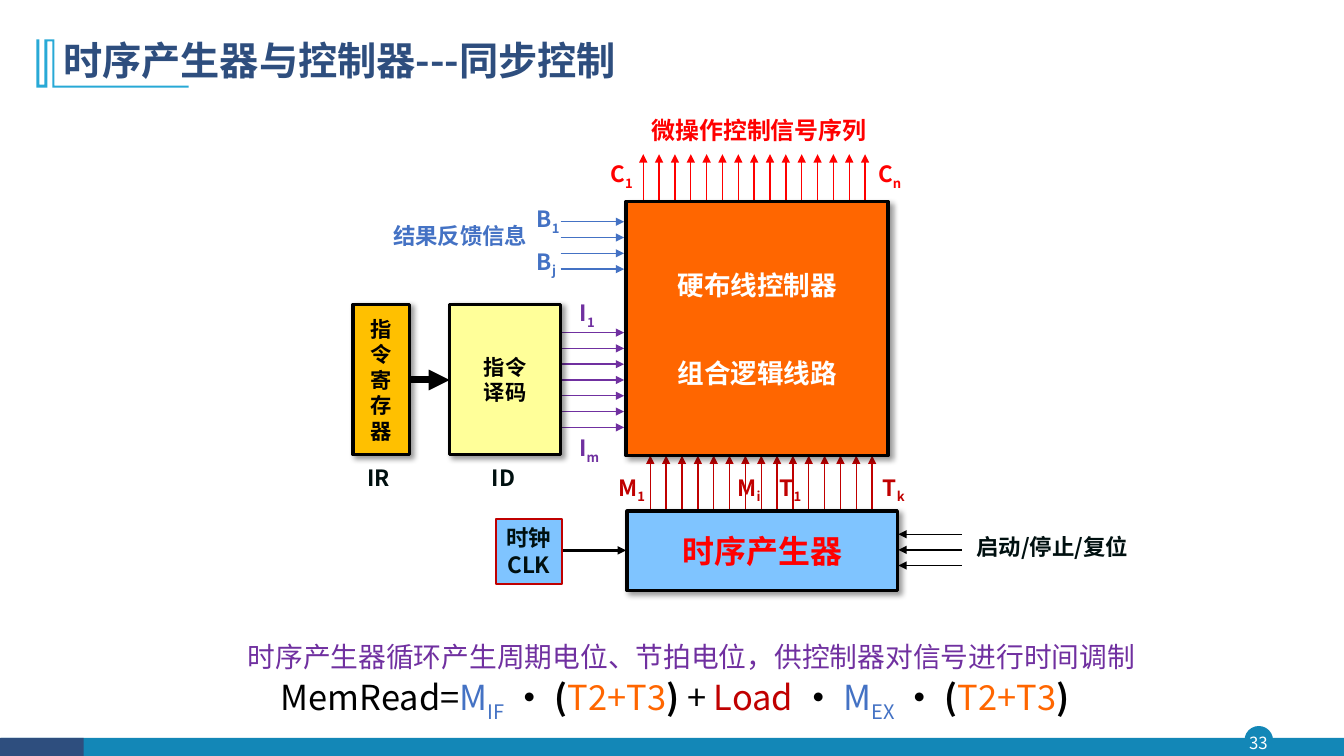
from dataclasses import dataclass

from lxml.etree import SubElement
from pptx import Presentation
from pptx.dml.color import RGBColor
from pptx.enum.shapes import MSO_CONNECTOR as Connector, MSO_SHAPE as Preset
from pptx.enum.text import MSO_ANCHOR as Anchor, PP_ALIGN as Align
from pptx.oxml.ns import qn
from pptx.util import Inches, Pt

FONT = "Noto Sans CJK SC"
COLORS = {
    "teal": "1387B7", "navy": "2E4E7E", "cyan": "28A9D6", "white": "FFFFFF",
    "black": "000000", "ink": "001010", "red": "FF0000", "crimson": "C00000",
    "blue": "4472C4", "purple": "7030A0", "orange": "FF6600", "amber": "FFC000",
    "yellow": "FFFF99", "sky": "7FC4FF",
}


@dataclass
class Piece:
    text: str
    color: str | None = None
    bold: bool | None = None
    lowered: bool = False


@dataclass
class Label:
    area: tuple[float, float, float, float]
    lines: list[list[Piece]]
    color: str = "ink"
    size: float = 16
    bold: bool = True
    wrap: bool = False
    anchor: Anchor = Anchor.TOP
    align: Align = Align.CENTER
    font: str = FONT
    gap: float = 0
    spacing: float | None = None
    inset: bool = True


@dataclass
class Box:
    label: Label
    fill: str
    line: str | None = "black"
    width: float = 2.5
    shadow: bool = True
    preset: Preset = Preset.RECTANGLE


@dataclass
class Arrows:
    start: tuple[float, float]
    end: tuple[float, float]
    color: str
    count: int = 1
    span: tuple[float, float] = (0, 0)
    width: float = 1


def rgb(name: str) -> RGBColor:
    return RGBColor.from_string(COLORS[name])


def plain(*texts: str) -> list[list[Piece]]:
    return [[Piece(text)] for text in texts]


def symbol(x: float, y: float, width: float, letter: str, index: str, color: str) -> Label:
    return Label((x, y, width, 0.37), [[Piece(letter), Piece(index, lowered=True)]], color)


def write(shape, label: Label) -> None:
    frame = shape.text_frame
    frame.word_wrap = label.wrap
    frame.vertical_anchor = label.anchor
    if not label.inset:
        frame.margin_left = frame.margin_right = frame.margin_top = frame.margin_bottom = 0
    for number, pieces in enumerate(label.lines):
        paragraph = frame.add_paragraph() if number else frame.paragraphs[0]
        paragraph.alignment = label.align
        if label.spacing:
            paragraph.line_spacing = label.spacing
        if number and label.gap:
            paragraph.space_before = Pt(label.gap)
        font = paragraph.font
        font.size, font.bold, font.name = Pt(label.size), label.bold, label.font
        font.color.rgb = rgb(label.color)
        defaults = paragraph._p.pPr.find(qn("a:defRPr"))
        SubElement(defaults, qn("a:ea")).set("typeface", FONT)
        for piece in pieces:
            run = paragraph.add_run()
            run.text = piece.text
            if piece.color:
                run.font.color.rgb = rgb(piece.color)
            if piece.bold is not None:
                run.font.bold = piece.bold
            if piece.lowered:
                run._r.get_or_add_rPr().set("baseline", "-25000")


def add_label(slide, label: Label) -> None:
    write(slide.shapes.add_textbox(*map(Inches, label.area)), label)


def add_box(slide, box: Box) -> None:
    shape = slide.shapes.add_shape(box.preset, *map(Inches, box.label.area))
    shape.shadow.inherit = False
    shape.fill.solid()
    shape.fill.fore_color.rgb = rgb(box.fill)
    if box.line:
        shape.line.color.rgb = rgb(box.line)
        shape.line.width = Pt(box.width)
    else:
        shape.line.fill.background()
    if box.shadow:
        effects = shape._element.spPr.find(qn("a:effectLst"))
        outer = SubElement(effects, qn("a:outerShdw"), blurRad=str(Pt(4)), dist=str(Pt(3)),
                           dir="2700000", algn="tl", rotWithShape="0")
        color = SubElement(outer, qn("a:srgbClr"), val=COLORS["black"])
        SubElement(color, qn("a:alpha"), val="40000")
    if box.label.lines:
        write(shape, box.label)


def add_arrows(slide, arrows: Arrows) -> None:
    for number in range(arrows.count):
        share = number / max(arrows.count - 1, 1)
        dx, dy = (share * length for length in arrows.span)
        ends = [Inches(value + shift) for point in (arrows.start, arrows.end)
                for value, shift in zip(point, (dx, dy))]
        connector = slide.shapes.add_connector(Connector.STRAIGHT, *ends)
        connector.line.color.rgb = rgb(arrows.color)
        connector.line.width = Pt(arrows.width)
        SubElement(connector.line._get_or_add_ln(), qn("a:tailEnd"), type="triangle")
        SubElement(connector._element.spPr, qn("a:effectLst"))


def add_title_mark(slide) -> None:
    points = [(0.54, 0.39), (0.54, 0.85), (1.87, 0.85), (1.87, 0.87), (0.52, 0.87),
              (0.52, 0.41), (0.47, 0.41), (0.47, 0.87), (0.36, 0.87), (0.36, 0.39),
              (0.39, 0.39), (0.39, 0.84), (0.44, 0.84), (0.44, 0.39)]
    corners = [(Inches(x), Inches(y)) for x, y in points]
    builder = slide.shapes.build_freeform(*corners[0])
    builder.add_line_segments(corners[1:], close=True)
    mark = builder.convert_to_shape()
    mark.shadow.inherit = False
    mark.fill.solid()
    mark.fill.fore_color.rgb = rgb("cyan")
    mark.line.fill.background()


def block(area: tuple[float, float, float, float], lines: list[list[Piece]], fill: str,
          color: str = "black", size: float = 15.2, gap: float = 0) -> Box:
    return Box(Label(area, lines, color, size, wrap=True, anchor=Anchor.MIDDLE,
                     font="Roboto", gap=gap), fill)


FORMULA = [
    Piece("MemRead="), Piece("M", "blue"), Piece("IF", "blue", lowered=True),
    Piece(" · (", bold=True), Piece("T2+T3", "orange"), Piece(") ", bold=True), Piece("+ "),
    Piece("Load ", "crimson"), Piece("· ", bold=True), Piece("M", "blue"),
    Piece("EX", "blue", lowered=True), Piece(" · (", bold=True),
    Piece("T2+T3", "orange"), Piece(")", bold=True),
]
FOOTER = [
    Box(Label((12.35, 7.21, 0.27, 0.27), []), "teal", "teal", 1, False, Preset.OVAL),
    Box(Label((0.01, 7.32, 13.32, 0.19), []), "teal", None, shadow=False),
    Box(Label((0, 7.32, 0.83, 0.19), []), "navy", None, shadow=False),
]
ARROWS = [
    Arrows((6.38, 2), (6.38, 1.53), "red", 15, (2.2, 0)),
    Arrows((6.45, 5.07), (6.45, 4.52), "crimson", 15, (2.2, 0)),
    Arrows((5.56, 3.3), (6.19, 3.3), "purple", 7, (0, 0.94)),
    Arrows((9.54, 5.3), (8.91, 5.3), "black", 3, (0, 0.31)),
    Arrows((5.56, 2.2), (6.19, 2.2), "blue", 4, (0, 0.47)),
    Arrows((4.06, 3.77), (4.46, 3.77), "black", width=5),
    Arrows((5.56, 5.46), (6.21, 5.46), "black", width=2),
]
LABELS = [
    Label((12.32, 7.21, 0.32, 0.31), plain("33"), "white", 12, False, True,
          Anchor.MIDDLE, inset=False),
    Label((0.53, 0.28, 11.5, 0.68), plain("时序产生器与控制器---同步控制"), "navy", 28,
          wrap=True, anchor=Anchor.MIDDLE, align=Align.LEFT, spacing=0.9),
    Label((6.35, 1.1, 2.36, 0.39), plain("微操作控制信号序列"), "red", 17.1),
    Label((3.5, 4.56, 0.51, 0.37), plain("IR"), wrap=True),
    Label((4.74, 4.56, 0.51, 0.37), plain("ID"), wrap=True),
    Label((3.79, 2.15, 1.55, 0.37), plain("结果反馈信息"), "blue"),
    symbol(6, 4.65, 0.53, "M", "1", "crimson"), symbol(7.19, 4.65, 0.48, "M", "i", "crimson"),
    symbol(7.62, 4.65, 0.44, "T", "1", "crimson"), symbol(8.65, 4.65, 0.43, "T", "k", "crimson"),
    symbol(5.64, 2.92, 0.37, "I", "1", "purple"), symbol(5.63, 4.26, 0.43, "I", "m", "purple"),
    symbol(5.94, 1.54, 0.45, "C", "1", "red"), symbol(8.6, 1.54, 0.45, "C", "n", "red"),
    symbol(5.21, 1.99, 0.45, "B", "1", "blue"), symbol(5.22, 2.41, 0.4, "B", "j", "blue"),
    Label((9.34, 5.24, 2.19, 0.37), plain("启动/停止/复位"), wrap=True),
    Label((1.41, 5.98, 10.89, 0.48),
          [[Piece("时序产生器循环产生周期电位、节拍电位，供控制器对信号进行时间调制", lowered=True)]],
          "purple", 34.1, False, True),
    Label((0.8, 6.66, 11.79, 0.52), [FORMULA], "black", 24.6, False, True),
]
BLOCKS = [
    block((3.5, 3.02, 0.56, 1.49), plain("指令寄存器"), "amber"),
    block((6.21, 2, 2.6, 2.52), plain("硬布线控制器", "组合逻辑线路"), "orange", "white", 19, 40),
    Box(Label((4.92, 5.15, 0.65, 0.64), plain("时钟", "CLK")), "sky", "crimson", 1.5, False),
    block((4.46, 3.02, 1.1, 1.49), plain("指令", "译码"), "yellow"),
    block((6.22, 5.07, 2.68, 0.79), plain("时序产生器"), "sky", "red", 22.8),
]


def main() -> None:
    """Build the synchronous control slide and save it."""
    presentation = Presentation()
    presentation.slide_width, presentation.slide_height = Inches(13.33), Inches(7.5)
    slide = presentation.slides.add_slide(presentation.slide_layouts[6])
    add_title_mark(slide)
    for draw, items in ((add_box, FOOTER), (add_arrows, ARROWS), (add_label, LABELS),
                        (add_box, BLOCKS)):
        for item in items:
            draw(slide, item)
    presentation.save("out.pptx")


if __name__ == "__main__":
    main()
